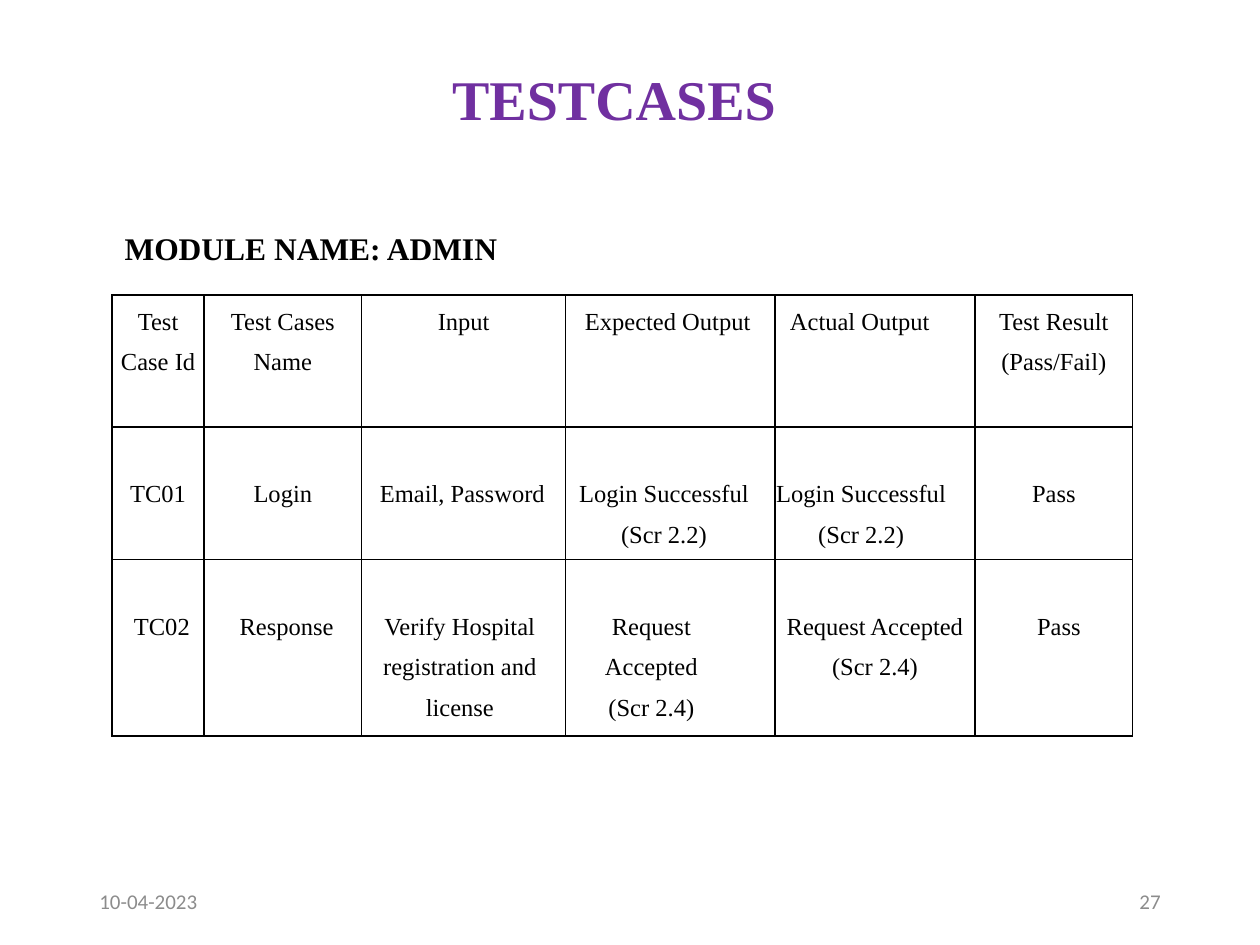
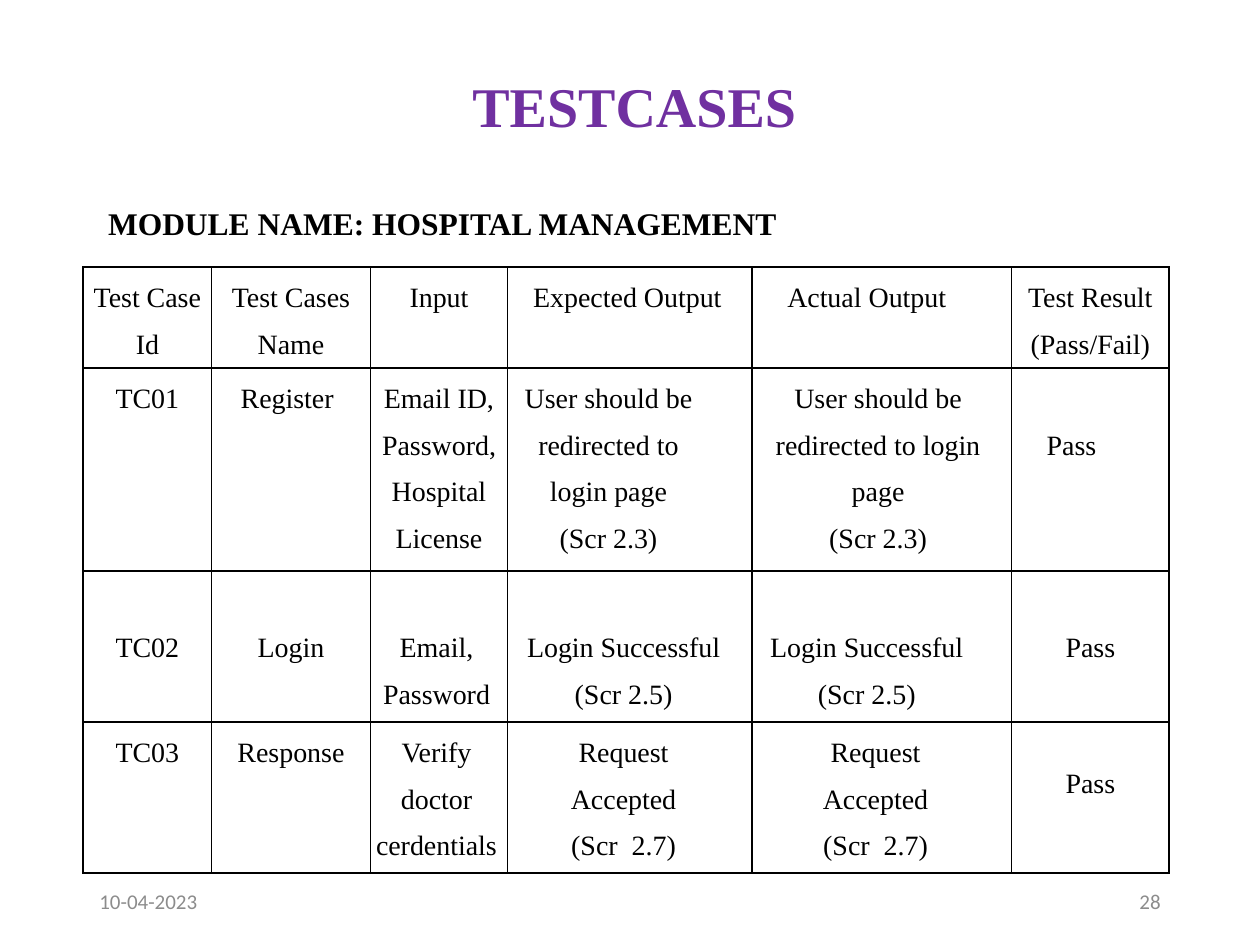
from lxml.etree import SubElement
from pptx import Presentation
from pptx.dml.color import RGBColor
from pptx.enum.text import MSO_ANCHOR as Anchor, MSO_AUTO_SIZE as AutoSize, PP_ALIGN as Align
from pptx.oxml.ns import qn
from pptx.util import Inches, Pt

COLORS = {"title": "7030A0", "text": "000000", "footer": "8C8C8C"}
SERIF, SANS = "Times New Roman", "Calibri"
TITLE = "TESTCASES"
DATE = "10-04-2023"
LINE_SPACING = 1.5

HEADINGS = [
    ("Test Case Id", 0),
    ("Test Cases\nName", 0),
    ("Input", 0),
    ("Expected Output", -0.02),
    ("Actual Output", -0.12),
    ("Test Result\n(Pass/Fail)", 0),
]

# Each row: height, space above its text, cells of (text, shift from centre, own space above).
MODULES = [
    {
        "number": "27",
        "title_at": (2.06, 0.46, 5.63, 0.64),
        "module": "MODULE NAME: ADMIN",
        "module_at": (0.89, 1.62, 6.32, 0.5),
        "table_at": (0.89, 2.34),
        "size": 14,
        "columns": [0.73, 1.25, 1.62, 1.66, 1.59, 1.25],
        "rows": [
            (1.05, 0, HEADINGS),
            (1.05, 0.32, [
                ("TC01", 0),
                ("Login", 0),
                ("Email, Password", -0.01),
                ("Login Successful\n(Scr 2.2)", -0.05),
                ("Login Successful\n(Scr 2.2)", -0.11),
                ("Pass", 0),
            ]),
            (1.4, 0.32, [
                ("TC02", 0.03),
                ("Response", 0.03),
                ("Verify Hospital registration and license", -0.03),
                ("Request Accepted\n(Scr 2.4)", -0.15),
                ("Request Accepted\n(Scr 2.4)", 0),
                ("Pass", 0.04),
            ]),
        ],
    },
    {
        "number": "28",
        "title_at": (1.89, 0.52, 6.29, 0.64),
        "module": "MODULE NAME: HOSPITAL MANAGEMENT",
        "module_at": (0.76, 1.42, 6.3, 0.5),
        "table_at": (0.66, 2.12),
        "size": 16,
        "columns": [1.02, 1.26, 1.09, 1.94, 2.06, 1.25],
        "rows": [
            (0.8, 0, HEADINGS),
            (1.61, 0, [
                ("TC01", 0),
                ("Register", -0.03),
                ("Email ID,\nPassword,\nHospital License", 0),
                ("User should be redirected to login page\n(Scr 2.3)", -0.17),
                ("User should be redirected to login page\n(Scr 2.3)", -0.03),
                ("Pass", -0.15, 0.37),
            ]),
            (1.2, 0.37, [
                ("TC02", 0),
                ("Login", 0),
                ("Email,\nPassword", -0.02),
                ("Login Successful\n(Scr 2.5)", -0.05),
                ("Login Successful\n(Scr 2.5)", -0.12),
                ("Pass", 0),
            ]),
            (1.2, 0, [
                ("TC03", 0),
                ("Response", 0),
                ("Verify doctor cerdentials", -0.02),
                ("Request\nAccepted\n(Scr  2.7)", -0.05),
                ("Request\nAccepted\n(Scr  2.7)", -0.05),
                ("Pass", 0, 0.25),
            ]),
        ],
    },
]


def style(frame, size, color, font=SERIF, align=Align.LEFT, bold=False, spacing=1.0):
    for paragraph in frame.paragraphs:
        paragraph.alignment = align
        paragraph.line_spacing = spacing
        paragraph.font.size = Pt(size)
        paragraph.font.name = font
        paragraph.font.bold = bold
        paragraph.font.color.rgb = RGBColor.from_string(COLORS[color])


def add_text(slide, text, at, **look):
    frame = slide.shapes.add_textbox(*map(Inches, at)).text_frame
    frame.word_wrap = True
    frame.text = text
    style(frame, **look)
    return frame


def add_title(slide, at):
    title = slide.shapes.title
    title.left, title.top, title.width, title.height = map(Inches, at)
    frame = title.text_frame
    frame.text = TITLE
    frame.auto_size = AutoSize.NONE
    frame.vertical_anchor = Anchor.TOP
    style(frame, 32, "title", align=Align.CENTER, bold=True)


def add_footer(slide, number):
    for text, left, align in ((DATE, 0.69, Align.LEFT), (number, 7.06, Align.RIGHT)):
        frame = add_text(slide, text, (left, 6.95, 2.25, 0.4),
                         size=12, color="footer", font=SANS, align=align)
        frame.vertical_anchor = Anchor.MIDDLE


def add_borders(cell):
    properties = cell._tc.get_or_add_tcPr()
    for position, side in enumerate(("lnL", "lnR", "lnT", "lnB")):
        line = SubElement(properties, qn(f"a:{side}"), w=str(Pt(1)))
        fill = SubElement(line, qn("a:solidFill"))
        SubElement(fill, qn("a:srgbClr"), val=COLORS["text"])
        properties.insert(position, line)


def fill_cell(cell, size, space_above, text, shift, own_space=None):
    cell.margin_left = Inches(max(2 * shift, 0))
    cell.margin_right = Inches(max(-2 * shift, 0))
    cell.margin_top = Inches(space_above if own_space is None else own_space)
    cell.margin_bottom = 0
    cell.text = text
    style(cell.text_frame, size, "text", align=Align.CENTER, spacing=LINE_SPACING)
    cell.fill.background()
    add_borders(cell)


def add_test_cases(slide, table_at, columns, rows, size):
    extent = sum(columns), sum(height for height, _, _ in rows)
    table = slide.shapes.add_table(
        len(rows), len(columns), *map(Inches, (*table_at, *extent))).table
    table.first_row = table.horz_banding = False
    for column, width in zip(table.columns, columns):
        column.width = Inches(width)
    for row, (height, space_above, test_case) in zip(table.rows, rows):
        row.height = Inches(height)
        for cell, content in zip(row.cells, test_case):
            fill_cell(cell, size, space_above, *content)


def main():
    deck = Presentation()
    deck.slide_width, deck.slide_height = Inches(10), Inches(7.5)
    title_only = deck.slide_layouts[5]
    for module in MODULES:
        slide = deck.slides.add_slide(title_only)
        add_footer(slide, module["number"])
        add_title(slide, module["title_at"])
        add_test_cases(slide, module["table_at"], module["columns"],
                       module["rows"], module["size"])
        add_text(slide, module["module"], module["module_at"], size=18, color="text",
                 align=Align.JUSTIFY, bold=True, spacing=LINE_SPACING)
    deck.save("out.pptx")


if __name__ == "__main__":
    main()
